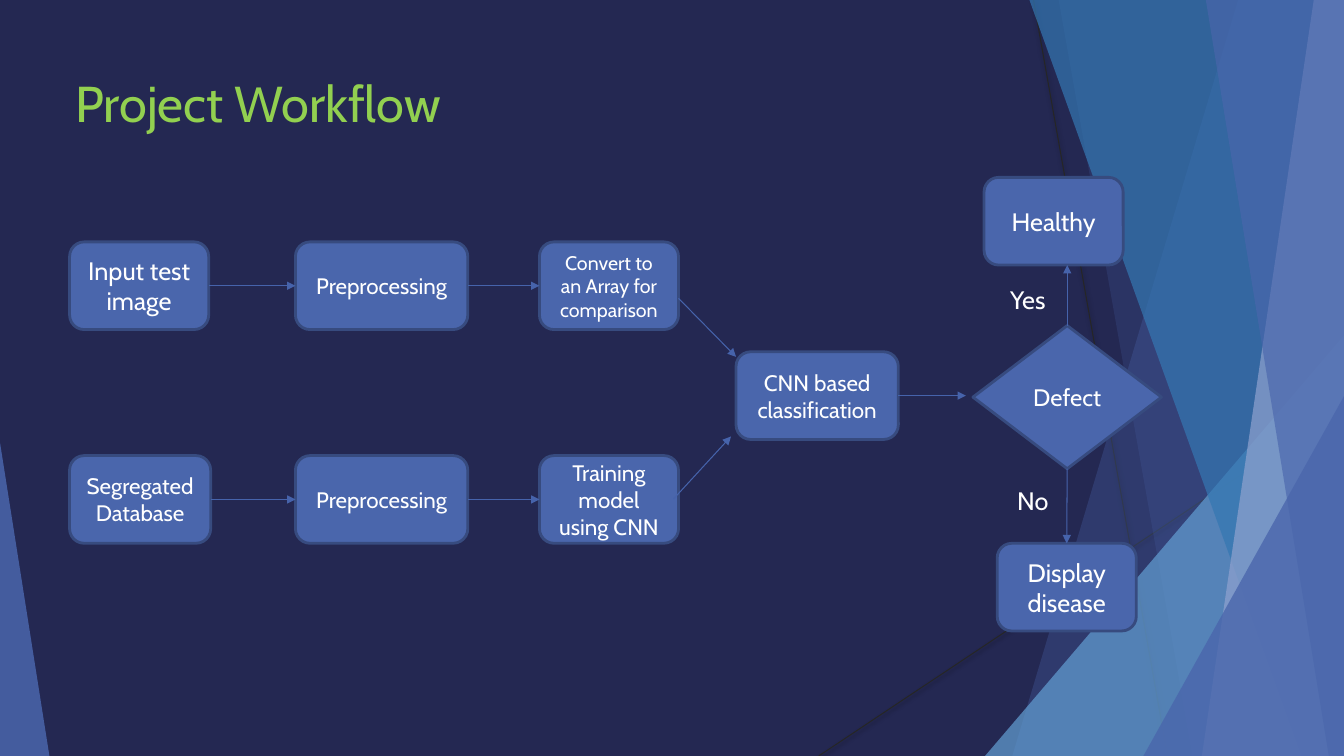
from lxml import etree
from pptx import Presentation
from pptx import util as u
from pptx.dml.color import RGBColor
from pptx.enum import shapes, text
from pptx.oxml import ns

NAVY = RGBColor(0x24, 0x28, 0x52)
BLUE = RGBColor(0x4A, 0x66, 0xAC)
EDGE = RGBColor(0x37, 0x4B, 0x7F)
ARROW = RGBColor(0x46, 0x63, 0xAB)
SKY = RGBColor(0x62, 0x9D, 0xD1)
TEAL = RGBColor(0x34, 0x77, 0xB2)
PALE = RGBColor(0x90, 0xA2, 0xCF)
DARK = RGBColor(0x26, 0x26, 0x26)
LIME = RGBColor(0x92, 0xD0, 0x50)
WHITE = RGBColor(0xFF, 0xFF, 0xFF)
FONT = "Cabin"
WIDE, HIGH = 13.33, 7.5
KIND = shapes.MSO_SHAPE


def sub(node, tag, **attrs):
    return etree.SubElement(node, ns.qn(tag), attrs)


def style(frame, size, color):
    for para in frame.paragraphs:
        for run in para.runs:
            run.font.name = FONT
            run.font.size = u.Pt(size)
            run.font.color.rgb = color


def tint(shape, color, alpha):
    shape.shadow.inherit = False
    shape.fill.solid()
    shape.fill.fore_color.rgb = color
    shape.line.fill.background()
    for clr in shape.fill._xPr.iter(ns.qn("a:srgbClr")):
        sub(clr, "a:alpha", val=str(alpha * 1000))


def rule(slide, start, end, color):
    ends = [u.Inches(v) for v in (*start, *end)]
    line = slide.shapes.add_connector(shapes.MSO_CONNECTOR.STRAIGHT, *ends)
    line.line.color.rgb = color
    line.line.width = u.Pt(0.75)
    return line, sub(line._element.spPr, "a:effectLst")


def streak(slide, start, end):
    line, effect = rule(slide, start, end, DARK)
    cast = sub(effect, "a:outerShdw", blurRad=str(u.Pt(3.1)),
               dist=str(u.Pt(1.6)), dir="5400000", rotWithShape="0")
    sub(sub(cast, "a:srgbClr", val="000000"), "a:alpha", val="38000")


def ribbon(slide, box, top, foot, color, alpha):
    x, y, w, h = box
    pts = [(x + top, y), (x + w, y), (x + w, y + h), (x + foot, y + h)]
    pts = [(u.Inches(a), u.Inches(b)) for a, b in pts]
    form = slide.shapes.build_freeform(*pts[0], scale=1.0)
    form.add_line_segments(pts[1:], close=True)
    tint(form.convert_to_shape(), color, alpha)


def wedge(slide, box, w, h, tip, color, alpha):
    x = box[0] + tip * (box[2] - w)
    y = box[1] + box[3] - h
    dims = [u.Inches(v) for v in (x, y, w, h)]
    shape = slide.shapes.add_shape(KIND.ISOSCELES_TRIANGLE, *dims)
    shape.adjustments[0] = tip
    tint(shape, color, alpha)


def decor(slide, box):
    x, y, w, h = box
    streak(slide, (x + 10.25, y), (x + 11.58, y + h))
    streak(slide, (x + w, y + 4.03), (x + 8.12, y + h))
    ribbon(slide, box, 12.28, 10.04, BLUE, 30)
    ribbon(slide, box, 10.5, 11.83, BLUE, 20)
    wedge(slide, box, 3.56, 4.17, 1, SKY, 72)
    ribbon(slide, box, 10.21, 12.91, TEAL, 70)
    ribbon(slide, box, 13.03, 11.92, PALE, 70)
    ribbon(slide, box, 11.96, 13.18, BLUE, 65)
    wedge(slide, box, 1.99, 3.57, 1, BLUE, 80)
    wedge(slide, box, 0.49, 3.11, 0, BLUE, 85)


def label(slide, box, words, size, color):
    frame = slide.shapes.add_textbox(*[u.Inches(v) for v in box]).text_frame
    frame.word_wrap = True
    frame.text = words
    style(frame, size, color)


def node(slide, box, words, size, kind=KIND.ROUNDED_RECTANGLE):
    shape = slide.shapes.add_shape(kind, *[u.Inches(v) for v in box])
    shape.shadow.inherit = False
    shape.fill.solid()
    shape.fill.fore_color.rgb = BLUE
    shape.line.color.rgb = EDGE
    shape.line.width = u.Pt(2)
    frame = shape.text_frame
    frame.word_wrap = True
    frame.vertical_anchor = text.MSO_ANCHOR.MIDDLE
    frame.text = words
    frame.paragraphs[0].alignment = text.PP_ALIGN.CENTER
    style(frame, size, WHITE)
    return shape


def arrow(slide, start=(0, 0), end=(0, 0), tail=None, head=None):
    line, _ = rule(slide, start, end, ARROW)
    if tail:
        line.begin_connect(*tail)
    if head:
        line.end_connect(*head)
    sub(line.line._get_or_add_ln(), "a:tailEnd", type="triangle")


def lane(slide, box, wide, steps):
    x, y, w, h = box
    spots = [(0, wide), (2.24, 1.71), (w - 1.38, 1.38)]
    nodes = [node(slide, (x + dx, y, dw, h), *step)
             for (dx, dw), step in zip(spots, steps)]
    for left, right in zip(nodes, nodes[1:]):
        arrow(slide, tail=(left, 3), head=(right, 1))


def merge(slide, box):
    x, y, w, h = box
    hub = node(slide, box, "CNN based classification", 16)
    arrow(slide, (x - 0.57, y - 0.53), (x, y + 0.05))
    arrow(slide, (x - 0.62, y + 1.46), (x - 0.05, y + 0.84))
    arrow(slide, end=(x + w + 0.67, y + h / 2), tail=(hub, 3))


def verdict(slide, box):
    x, y, w, h = box
    mid = x + w / 2
    node(slide, (x + 0.11, y, 1.38, 0.87), "Healthy", 18)
    ill = node(slide, (x + 0.24, y + h - 0.87, 1.38, 0.87),
               "Display disease", 18)
    test = node(slide, (x, y + 1.47, w, 1.42), "Defect", 17, KIND.DIAMOND)
    arrow(slide, end=(mid, y + 0.87), tail=(test, 0))
    arrow(slide, tail=(test, 2), head=(ill, 0))
    label(slide, (x + 0.27, y + 1.01, 0.83, 0.4), "Yes", 18, WHITE)
    label(slide, (x + 0.34, y + 3.01, 0.83, 0.4), "No", 18, WHITE)


def main():
    deck = Presentation()
    deck.slide_width = u.Inches(WIDE)
    deck.slide_height = u.Inches(HIGH)
    slide = deck.slides.add_slide(deck.slide_layouts[6])
    slide.background.fill.solid()
    slide.background.fill.fore_color.rgb = NAVY
    decor(slide, (0, 0, WIDE, HIGH))
    label(slide, (0.65, 0.67, 9.4, 1.44), "Project Workflow", 36, LIME)
    lane(slide, (0.69, 2.4, 6.04, 0.87), 1.38,
         [("Input test image", 18), ("Preprocessing", 16),
          ("Convert to an Array for comparison", 14)])
    lane(slide, (0.69, 4.52, 6.04, 0.87), 1.4,
         [("Segregated Database", 16), ("Preprocessing", 16),
          ("Training model using CNN", 16)])
    merge(slide, (7.3, 3.49, 1.61, 0.87))
    verdict(slide, (9.65, 1.76, 1.87, 4.5))
    deck.save("out.pptx")


if __name__ == "__main__":
    main()
